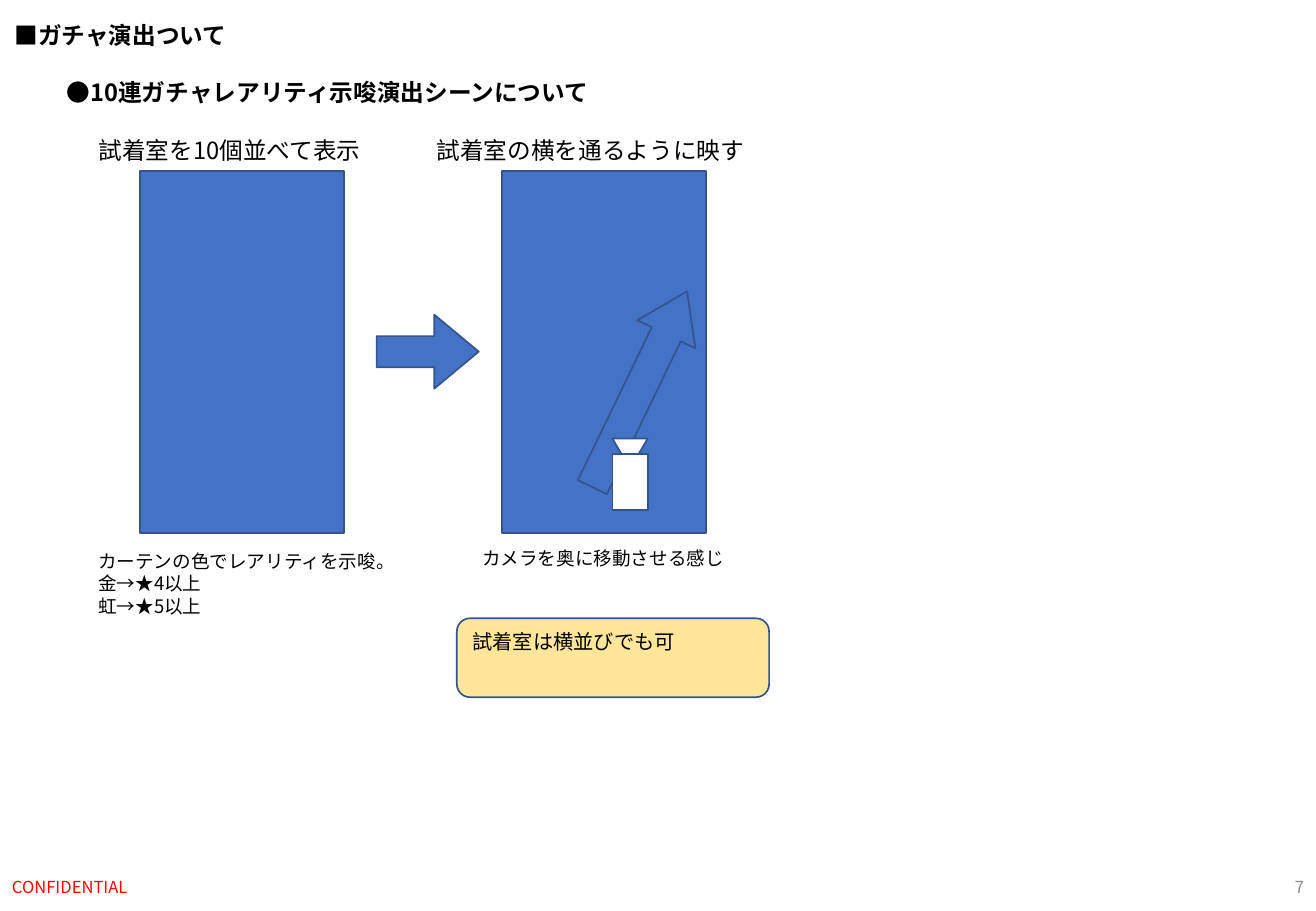
from lxml.etree import SubElement
from pptx import Presentation
from pptx.dml.color import RGBColor
from pptx.enum.shapes import MSO_SHAPE as Shape
from pptx.enum.text import MSO_ANCHOR as Anchor, PP_ALIGN as Align
from pptx.oxml.ns import qn
from pptx.util import Inches, Pt

WIDTH, HEIGHT = 10.83, 7.5
FONT = "Noto Sans CJK JP"
COLORS = {"text": "000000", "alert": "FF0000", "muted": "8C8C8C", "blue": "4472C4",
          "outline": "325491", "white": "FFFFFF", "note": "FFE699"}


def color(name):
    return RGBColor.from_string(COLORS[name])


def add_text(slide, box, lines, size, ink="text", bold=False, align=Align.LEFT,
             anchor=Anchor.TOP, wrap=True):
    frame = slide.shapes.add_textbox(*map(Inches, box)).text_frame
    frame.word_wrap = wrap
    frame.vertical_anchor = anchor
    frame.text = "\n".join(lines)
    for para in frame.paragraphs:
        para.alignment = align
        font = para.font
        font.size, font.bold, font.name = Pt(size), bold, FONT
        font.color.rgb = color(ink)
        # East Asian glyphs take their typeface from a separate element.
        SubElement(para._p.pPr.find(qn("a:defRPr")), qn("a:ea"), typeface=FONT)


def add_figure(slide, kind, box, fill="blue", rotation=0, adjustments=()):
    shape = slide.shapes.add_shape(kind, *map(Inches, box))
    shape.shadow.inherit = False
    shape.fill.solid()
    shape.fill.fore_color.rgb = color(fill)
    shape.line.color.rgb = color("outline")
    shape.line.width = Pt(1)
    shape.rotation = rotation
    for index, value in enumerate(adjustments):
        shape.adjustments[index] = value


def add_headings(slide):
    add_text(slide, (0.02, 0.12, 1.97, 0.34), ["■ガチャ演出ついて"], 14, bold=True, wrap=False)
    add_text(slide, (0.45, 0.59, 4.79, 0.34), ["●10連ガチャレアリティ示唆演出シーンについて\u3000"],
             14, bold=True, wrap=False)


def add_scene(slide, box, title, title_left):
    """Draw a screen in the box with its title directly above."""
    add_text(slide, (title_left, box[1] - 0.34, 2.76, 0.34), [title], 14, align=Align.CENTER)
    add_figure(slide, Shape.RECTANGLE, box)


def add_camera(slide, box):
    left, top, width, height = box
    lens, body = 0.42 * height, 0.78 * height
    add_figure(slide, Shape.ISOSCELES_TRIANGLE, (left, top, width, lens), "white", rotation=180)
    add_figure(slide, Shape.RECTANGLE, (left, top + height - body, width, body), "white")


def add_storyboard(slide, box):
    left, top, width, height = box
    screen = 1.68
    second = left + width - screen
    add_scene(slide, (left, top, screen, height), "試着室を10個並べて表示", left - 0.64)
    add_scene(slide, (second, top, screen, height), "試着室の横を通るように映す", second - 0.65)
    add_figure(slide, Shape.RIGHT_ARROW, (second + 0.24, top + 1.53, 1.79, 0.53),
               rotation=295.8, adjustments=(0.5, 0.74))
    add_camera(slide, (second + 0.91, top + 2.2, 0.29, 0.59))
    add_figure(slide, Shape.RIGHT_ARROW, (left + 1.95, top + 1.18, 0.84, 0.61),
               adjustments=(0.42, 0.6))
    bottom = top + height
    add_text(slide, (left - 0.44, bottom + 0.09, 2.57, 0.66),
             ["カーテンの色でレアリティを示唆。", "金→★4以上", "虹→★5以上"], 11)
    add_text(slide, (second - 0.45, bottom + 0.06, 2.57, 0.29),
             ["カメラを奥に移動させる感じ"], 11, align=Align.CENTER)


def add_note(slide, box):
    left, top, width, height = box
    add_figure(slide, Shape.ROUNDED_RECTANGLE, box, "note")
    add_text(slide, (left + 0.03, top + 0.04, width - 0.3, 0.3), ["試着室は横並びでも可"], 12)


def add_footer(slide, box):
    left, top, width, height = box
    number = 2.25
    add_text(slide, (left, top, 3.38, height), ["CONFIDENTIAL"], 9.8, "alert",
             anchor=Anchor.MIDDLE)
    add_text(slide, (left + width - number, top, number, height), ["7"], 9.8, "muted",
             align=Align.RIGHT, anchor=Anchor.MIDDLE)


def main():
    deck = Presentation()
    deck.slide_width, deck.slide_height = Inches(WIDTH), Inches(HEIGHT)
    slide = deck.slides.add_slide(deck.slide_layouts[6])
    add_headings(slide)
    add_storyboard(slide, (1.15, 1.41, 4.66, 2.98))
    add_note(slide, (3.76, 5.09, 2.57, 0.65))
    add_footer(slide, (0, HEIGHT - 0.4, WIDTH, 0.4))
    deck.save("out.pptx")


if __name__ == "__main__":
    main()
